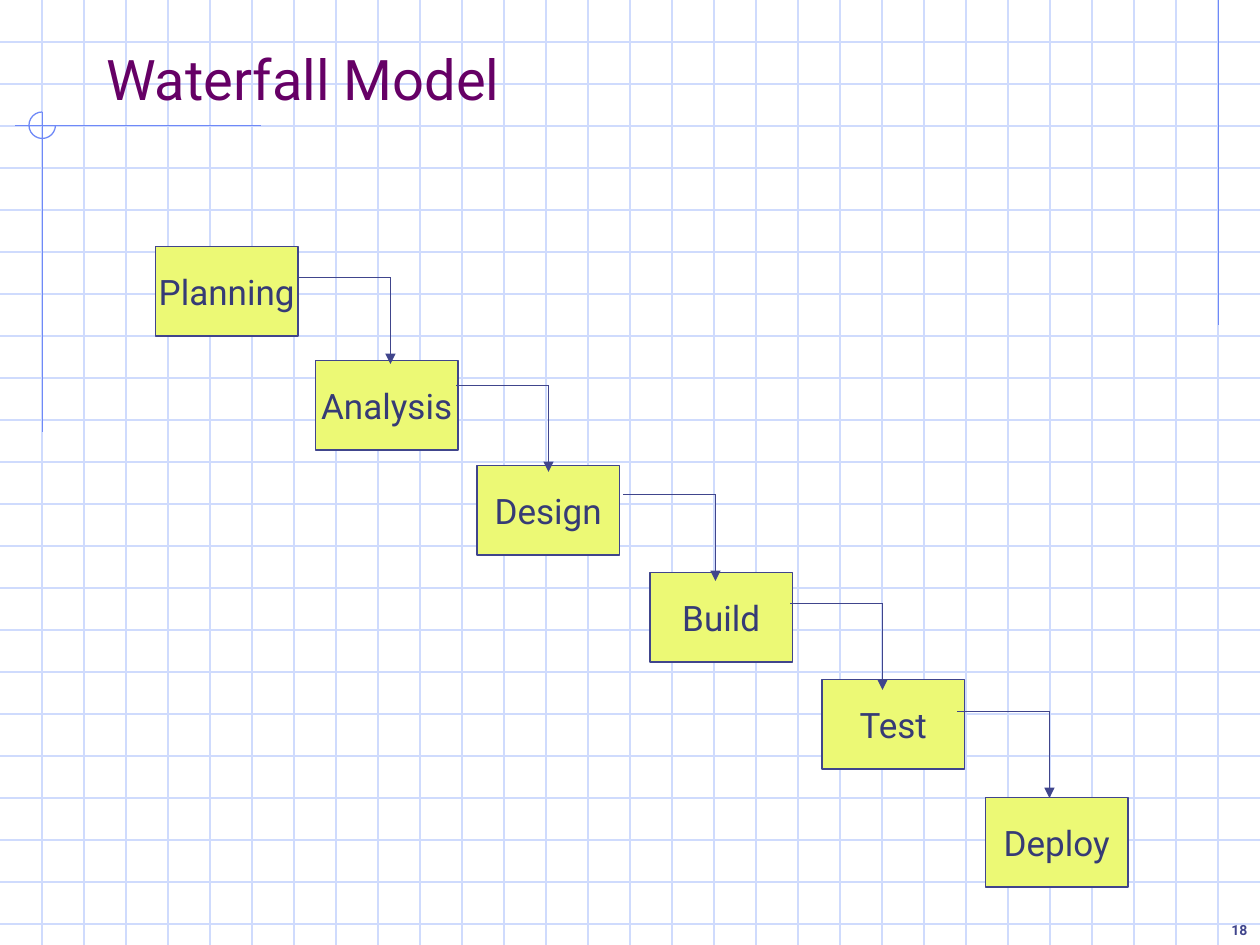
from dataclasses import dataclass

from lxml import etree
from pptx import Presentation
from pptx import util as u
from pptx.dml.color import RGBColor
from pptx.enum import shapes, text
from pptx.oxml.ns import qn

PX_PER_INCH = 252
WIDTH, HEIGHT = 2520, 1890
GRID_STEP = 84
BOX_WIDTH, BOX_HEIGHT = 285, 179
ARROW_RUN, ARROW_DROP = 184, 173
GRID, ACCENT, INK = "CFDBFD", "6F89F7", "40458C"


@dataclass
class Phase:
    name: str
    left: int
    top: int


@dataclass
class Point:
    x: int
    y: int


PHASES = [
    Phase("Planning", 311, 493),
    Phase("Analysis", 631, 721),
    Phase("Design", 954, 931),
    Phase("Build", 1300, 1145),
    Phase("Test", 1644, 1359),
    Phase("Deploy", 1971, 1595),
]
ARROW_STARTS = [Point(597, 555), Point(913, 771), Point(1247, 989),
                Point(1581, 1207), Point(1915, 1423)]


def px(length: int) -> u.Emu:
    return u.Emu(round(length * u.Inches(1) / PX_PER_INCH))


def color(value: str) -> RGBColor:
    return RGBColor.from_string(value)


def draw_line(slide, start: Point, end: Point, stroke: str, arrow: bool = False) -> None:
    line = slide.shapes.add_connector(
        shapes.MSO_CONNECTOR.STRAIGHT, px(start.x), px(start.y), px(end.x), px(end.y))
    line.line.color.rgb = color(stroke)
    line.line.width = u.Pt(0.75)
    properties = line._element.spPr
    if arrow:
        etree.SubElement(properties.find(qn("a:ln")), qn("a:tailEnd"), type="triangle")
    etree.SubElement(properties, qn("a:effectLst"))


def write(shape, words: str, align, anchor, wrap: bool, font: dict) -> None:
    frame = shape.text_frame
    frame.auto_size = text.MSO_AUTO_SIZE.NONE
    frame.word_wrap = wrap
    frame.vertical_anchor = anchor
    paragraph = frame.paragraphs[0]
    paragraph.text = words
    paragraph.alignment = align
    format_values = {"name": "Roboto", **font}
    paragraph.font.color.rgb = color(format_values.pop("color"))
    for name, value in format_values.items():
        setattr(paragraph.font, name, value)


def draw_background(slide) -> None:
    # Graph-paper grid
    for y in range(GRID_STEP, HEIGHT, GRID_STEP):
        draw_line(slide, Point(0, y), Point(WIDTH, y), GRID)
    for x in range(GRID_STEP, WIDTH, GRID_STEP):
        draw_line(slide, Point(x, 0), Point(x, HEIGHT), GRID)

    # Accent lines and the three-quarter circle where they cross
    draw_line(slide, Point(2437, 0), Point(2437, 650), ACCENT)
    draw_line(slide, Point(522, 251), Point(30, 251), ACCENT)
    draw_line(slide, Point(85, 224), Point(85, 864), ACCENT)
    arc = slide.shapes.add_shape(shapes.MSO_SHAPE.ARC, px(58), px(224), px(53), px(53))
    arc.shadow.inherit = False
    arc.fill.background()
    arc.line.color.rgb = color(ACCENT)
    arc.line.width = u.Pt(0.75)
    arc.adjustments[0] = 0
    arc.adjustments[1] = 162  # 270 degrees, in units of 100000/60000 degree


def draw_phase(slide, phase: Phase) -> None:
    box = slide.shapes.add_shape(
        shapes.MSO_SHAPE.RECTANGLE, px(phase.left), px(phase.top),
        px(BOX_WIDTH), px(BOX_HEIGHT))
    box.shadow.inherit = False
    box.fill.solid()
    box.fill.fore_color.rgb = color("ECF975")
    box.line.color.rgb = color(INK)
    box.line.width = u.Pt(0.75)
    write(box, phase.name, text.PP_ALIGN.CENTER, text.MSO_ANCHOR.MIDDLE, False,
          {"size": u.Pt(20), "color": "363B76"})


def draw_step_arrow(slide, start: Point) -> None:
    corner = Point(start.x + ARROW_RUN, start.y)
    draw_line(slide, start, corner, INK)
    draw_line(slide, corner, Point(corner.x, corner.y + ARROW_DROP), INK, arrow=True)


def main() -> None:
    presentation = Presentation()
    presentation.slide_width, presentation.slide_height = px(WIDTH), px(HEIGHT)
    slide = presentation.slides.add_slide(presentation.slide_layouts[5])
    draw_background(slide)

    # Title, brought in front of the grid
    title = slide.shapes.title
    title.left, title.top, title.width, title.height = px(187), px(82), px(2142), px(154)
    write(title, "Waterfall Model", text.PP_ALIGN.LEFT, text.MSO_ANCHOR.BOTTOM, True,
          {"size": u.Pt(32), "color": "660066"})
    slide.shapes._spTree.append(title._element)

    # Waterfall
    for phase in PHASES:
        draw_phase(slide, phase)
    for start in ARROW_STARTS:
        draw_step_arrow(slide, start)

    # Slide number
    number = slide.shapes.add_textbox(px(2402), px(1814), px(118), px(76))
    write(number, "18", text.PP_ALIGN.RIGHT, text.MSO_ANCHOR.BOTTOM, True,
          {"size": u.Pt(8), "bold": True, "color": INK})

    presentation.save("out.pptx")


if __name__ == "__main__":
    main()
